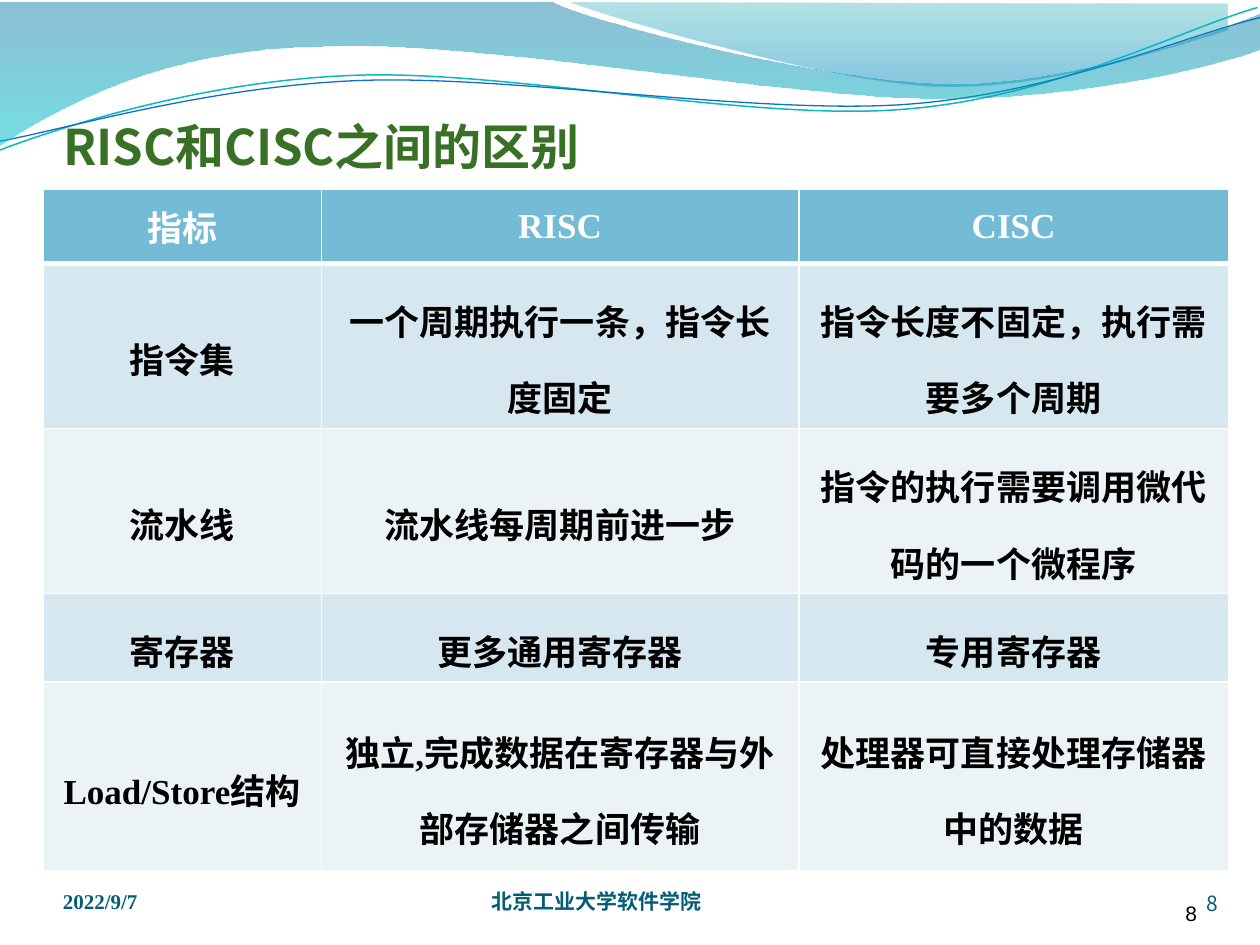
"""Build a slide with a table comparing RISC and CISC under a wave banner."""
from math import cos, radians, sin

from lxml.etree import SubElement
from pptx import Presentation
from pptx.dml.color import RGBColor
from pptx.enum.text import MSO_ANCHOR, MSO_AUTO_SIZE, PP_ALIGN
from pptx.oxml.ns import qn
from pptx.util import Inches, Pt

SANS, SERIF = "Noto Sans CJK SC", "Times New Roman"
color = RGBColor.from_string


def write(frame, text, size, font, hex_color, bold=False, align=PP_ALIGN.LEFT, spacing=None):
    """Write one formatted run into the first paragraph of a text frame."""
    paragraph = frame.paragraphs[0]
    paragraph.alignment = align
    paragraph.line_spacing = spacing
    run = paragraph.add_run()
    run.text = text
    run.font.size = Pt(size)
    run.font.name = font
    run.font.bold = bold
    run.font.color.rgb = color(hex_color)
    SubElement(run._r.get_or_add_rPr(), qn("a:ea"), typeface=SANS)


def turn(point, center, degrees):
    """Turn a point clockwise about a center and return it in slide units."""
    x, y = point[0] - center[0], point[1] - center[1]
    c, s = cos(radians(degrees)), sin(radians(degrees))
    return Inches(center[0] + x * c - y * s), Inches(center[1] + x * s + y * c)


presentation = Presentation()
presentation.slide_width, presentation.slide_height = Inches(10), Inches(7.5)
slide = presentation.slides.add_slide(presentation.slide_layouts[5])
shapes = slide.shapes

light_wave = [
    [(4.53, 0.02)],
    [(4.83, 0.14), (6.56, 0.64), (7.42, 0.68)],
    [(8.29, 0.72), (9.35, 0.35), (9.74, 0.24)],
    [(9.74, 0.03)],
    [(4.53, 0.02)],
]
teal_line = [
    [(0, 1.19)],
    [(0.48, 1.01), (1.58, 0.65), (2.76, 0.6)],
    [(3.95, 0.54), (5.92, 0.96), (7.13, 0.87)],
    [(8.33, 0.79), (9.38, 0.23), (9.98, 0.06)],
]
blue_line = [
    [(0, 1.12)],
    [(0.47, 1.04), (1.63, 0.69), (2.83, 0.64)],
    [(4.02, 0.59), (5.97, 0.91), (7.17, 0.83)],
    [(8.36, 0.75), (9.41, 0.28), (10, 0.14)],
]
dark_wave = [
    [(-0.01, 0.02)],
    [(4.39, 0.02)],
    [(4.75, 0.19), (6.62, 0.66), (7.57, 0.66)],
    [(8.52, 0.66), (9.57, 0.28), (9.99, 0.11)],
    [(10, 0.39)],
    [(9.82, 0.47), (8.69, 0.78), (7.45, 0.78)],
    [(6.21, 0.78), (3.81, 0.31), (2.56, 0.37)],
    [(1.28, 0.38), (0.45, 0.86), (-0.02, 1.16)],
    [(-0.01, 0.02)],
]
banner = [
    (light_wave, [(0, "00A1A9", 30), (0.8, "008BBF", 45)], None, (5, 0), 0),
    (teal_line, None, ("0AB8BF", 0.85), (4.99, 0.66), 2.7),
    (blue_line, None, ("0F6FC6", 0.75), (5, 0.67), 2.7),
    (dark_wave, [(0, "0074A1", 45), (1, "00C6CF", 55)], None, (5, 0), 0),
]
for outline, stops, stroke, center, tilt in banner:
    corners = [turn(point, center, tilt) for segment in outline for point in segment]
    builder = shapes.build_freeform(*corners[0])
    builder.add_line_segments(corners[1:], close=bool(stops))
    shape = builder.convert_to_shape()
    shape.rotation = -tilt
    shape.shadow.inherit = False
    lines = iter(list(shape._element.iter(qn("a:lnTo"))))
    for segment in outline[1:]:
        curve = next(lines)
        if len(segment) == 3:
            control, end = next(lines), next(lines)
            bezier = curve.makeelement(qn("a:cubicBezTo"))
            curve.addprevious(bezier)
            for line in (curve, control, end):
                bezier.append(line[0])
                line.getparent().remove(line)
    if stops:
        shape.line.fill.background()
        shape.fill.gradient()
        shape.fill.gradient_angle = 270
        for stop, (position, hex_color, opacity) in zip(shape.fill.gradient_stops, stops):
            stop.position = position
            stop.color.rgb = color(hex_color)
        for element, (_, _, opacity) in zip(shape._element.iter(qn("a:srgbClr")), stops):
            SubElement(element, qn("a:alpha"), val=str(opacity * 1000))
    else:
        shape.fill.background()
        shape.line.color.rgb = color(stroke[0])
        shape.line.width = Pt(stroke[1])

title = shapes.title
title.left, title.top, title.width, title.height = (Inches(n) for n in (0.5, 0.77, 9, 0.62))
labels = [(title, "RISC和CISC之间的区别", 28, SANS, "387026", True, PP_ALIGN.LEFT)]
for box, *label in [
    ((0.5, 6.88, 2.33, 0.37), "2022/9/7", 12, SERIF, "045D75", True, PP_ALIGN.LEFT),
    ((3.9, 6.88, 3.67, 0.37), "北京工业大学软件学院", 12, SANS, "045D75", True, PP_ALIGN.LEFT),
    ((8.84, 6.9, 0.83, 0.37), "8", 12, SANS, "045D75", False, PP_ALIGN.RIGHT),
    ((8.67, 6.98, 0.83, 0.37), "8", 12, "Arial", "000000", False, PP_ALIGN.RIGHT),
]:
    labels.append((shapes.add_textbox(*map(Inches, box)), *label))
for shape, *label in labels:
    frame = shape.text_frame
    frame.word_wrap = True
    frame.auto_size = MSO_AUTO_SIZE.NONE
    frame.vertical_anchor = MSO_ANCHOR.BOTTOM
    frame.margin_left = frame.margin_right = frame.margin_top = frame.margin_bottom = 0
    write(frame, *label)
title.text_frame.margin_top = Inches(0.05)

rows = [
    ("指标", "RISC", "CISC"),
    ("指令集", "一个周期执行一条，指令长度固定", "指令长度不固定，执行需要多个周期"),
    ("流水线", "流水线每周期前进一步", "指令的执行需要调用微代码的一个微程序"),
    ("寄存器", "更多通用寄存器", "专用寄存器"),
    ("Load/Store结构", "独立,完成数据在寄存器与外部存储器之间传输", "处理器可直接处理存储器中的数据"),
]
column_widths = (2.21, 3.79, 3.41)
row_heights = (0.59, 1.18, 1.26, 0.57, 1.5)
table = shapes.add_table(len(rows), len(column_widths), Inches(0.34), Inches(1.5),
                         Inches(sum(column_widths)), Inches(sum(row_heights))).table
for column, width in zip(table.columns, column_widths):
    column.width = Inches(width)
for row_index, (texts, height) in enumerate(zip(rows, row_heights)):
    table.rows[row_index].height = Inches(height)
    header = row_index == 0
    fill = "74BBD5" if header else ("ECF3F7", "D6E7EF")[row_index % 2]
    for column_index, text in enumerate(texts):
        cell = table.cell(row_index, column_index)
        cell.vertical_anchor = MSO_ANCHOR.MIDDLE
        thick_side = {0: "lnB", 1: "lnT"}.get(row_index)
        for side in ("lnL", "lnR", "lnT", "lnB"):
            width = Pt(3 if side == thick_side else 1)
            border = SubElement(cell._tc.get_or_add_tcPr(), qn(f"a:{side}"), w=str(width))
            SubElement(SubElement(border, qn("a:solidFill")), qn("a:srgbClr"), val="FFFFFF")
        cell.fill.solid()
        cell.fill.fore_color.rgb = color(fill)
        write(cell.text_frame, text, 20, SERIF, "FFFFFF" if header else "000000", True,
              PP_ALIGN.CENTER, None if header else 1.5)

presentation.save("out.pptx")
